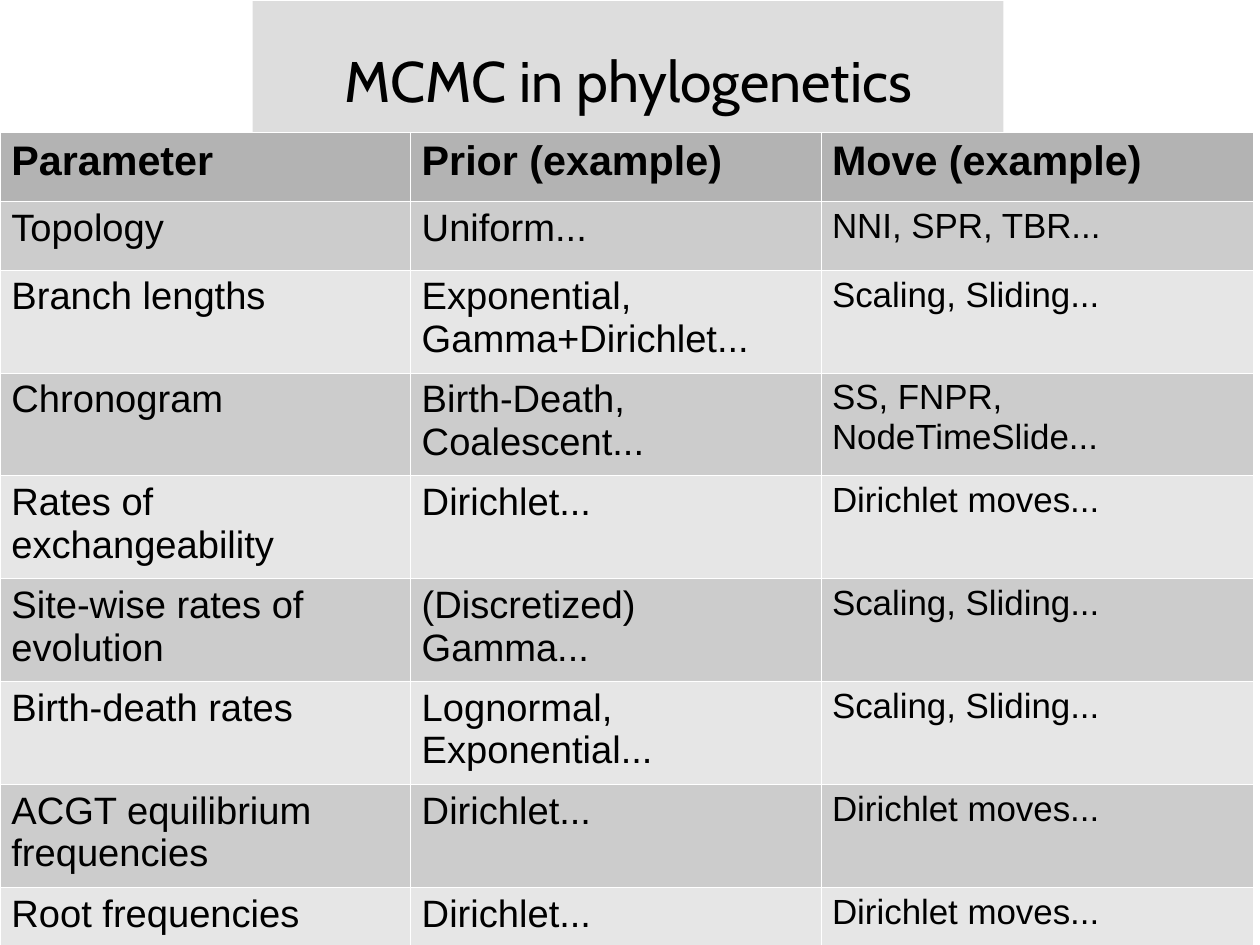
from lxml import etree
from pptx import Presentation
from pptx.dml.color import RGBColor
from pptx.enum.shapes import MSO_SHAPE
from pptx.enum.text import MSO_ANCHOR, PP_ALIGN
from pptx.oxml.ns import qn
from pptx.util import Inches, Pt

CM_PER_INCH = 2.54
SLIDE_WIDTH_CM, SLIDE_HEIGHT_CM = 28, 21
COLORS = {
    "text": "000000",
    "title": "DDDDDD",
    "header": "B3B3B3",
    "odd": "CCCCCC",
    "even": "E6E6E6",
    "border": "FFFFFF",
}
HEADER_FORMAT = {"name": "Arial", "size": Pt(26), "bold": True}
COLUMN_FORMATS = [
    {"name": "Arial", "size": Pt(size), "bold": False} for size in (24, 24, 22)
]
COLUMN_WIDTHS = [3.59, 3.59, 3.78]
SINGLE_ROW, DOUBLE_ROW = 0.6, 0.9
SINGLE_LINE = {"Parameter", "Topology", "Root frequencies"}
ROWS = [
    ("Parameter", "Prior (example)", "Move (example)"),
    ("Topology", "Uniform...", "NNI, SPR, TBR..."),
    ("Branch lengths", "Exponential, Gamma+Dirichlet...", "Scaling, Sliding..."),
    ("Chronogram", "Birth-Death, Coalescent...", "SS, FNPR, NodeTimeSlide..."),
    ("Rates of exchangeability", "Dirichlet...", "Dirichlet moves..."),
    ("Site-wise rates of evolution", "(Discretized) Gamma...", "Scaling, Sliding..."),
    ("Birth-death rates", "Lognormal, Exponential...", "Scaling, Sliding..."),
    ("ACGT equilibrium frequencies", "Dirichlet...", "Dirichlet moves..."),
    ("Root frequencies", "Dirichlet...", "Dirichlet moves..."),
]


def rgb(color):
    return RGBColor.from_string(COLORS[color])


def set_fill(item, color):
    item.fill.solid()
    item.fill.fore_color.rgb = rgb(color)


def write(tf, text, font_format):
    """Put one formatted run into the first paragraph and return the paragraph."""
    p = tf.paragraphs[0]
    r = p.add_run()
    r.text = text
    for name, value in font_format.items():
        setattr(r.font, name, value)
    r.font.color.rgb = rgb("text")
    return p


def add_title(slide, text):
    sp = slide.shapes.add_shape(
        MSO_SHAPE.RECTANGLE, Inches(2.21), Inches(0.01), Inches(6.57), Inches(1.38)
    )
    sp.shadow.inherit = False
    set_fill(sp, "title")
    sp.line.fill.background()
    tf = sp.text_frame
    tf.word_wrap = True
    tf.vertical_anchor = MSO_ANCHOR.MIDDLE
    for side in ("left", "top", "right", "bottom"):
        setattr(tf, f"margin_{side}", 0)
    p = write(tf, text, {"name": "Cabin", "size": Pt(36)})
    p.alignment = PP_ALIGN.CENTER


def set_borders(cell):
    tc_pr = cell._tc.get_or_add_tcPr()
    for index, side in enumerate(("lnL", "lnR", "lnT", "lnB")):
        ln = etree.Element(qn(f"a:{side}"), w=str(Pt(0.06)))
        fill = etree.SubElement(ln, qn("a:solidFill"))
        etree.SubElement(fill, qn("a:srgbClr"), val=COLORS["border"])
        tc_pr.insert(index, ln)


def fill_cell(cell, text, font_format, color):
    for side, margin in (("left", 0.1), ("top", 0.05), ("right", 0.1), ("bottom", 0.05)):
        setattr(cell, f"margin_{side}", Inches(margin))
    set_fill(cell, color)
    set_borders(cell)
    write(cell.text_frame, text, font_format)


def add_parameter_table(slide):
    heights = [SINGLE_ROW if row[0] in SINGLE_LINE else DOUBLE_ROW for row in ROWS]
    table = slide.shapes.add_table(
        len(ROWS), len(COLUMN_WIDTHS), Inches(0), Inches(1.16),
        Inches(sum(COLUMN_WIDTHS)), Inches(sum(heights)),
    ).table
    for column, width in zip(table.columns, COLUMN_WIDTHS):
        column.width = Inches(width)
    for i, (texts, height) in enumerate(zip(ROWS, heights)):
        table.rows[i].height = Inches(height)
        color = "header" if i == 0 else ("even", "odd")[i % 2]
        for j, text in enumerate(texts):
            font_format = HEADER_FORMAT if i == 0 else COLUMN_FORMATS[j]
            fill_cell(table.cell(i, j), text, font_format, color)


def main():
    prs = Presentation()
    prs.slide_width = Inches(SLIDE_WIDTH_CM / CM_PER_INCH)
    prs.slide_height = Inches(SLIDE_HEIGHT_CM / CM_PER_INCH)
    slide = prs.slides.add_slide(prs.slide_layouts[6])
    add_title(slide, "MCMC in phylogenetics")
    add_parameter_table(slide)
    prs.save("out.pptx")


if __name__ == "__main__":
    main()
